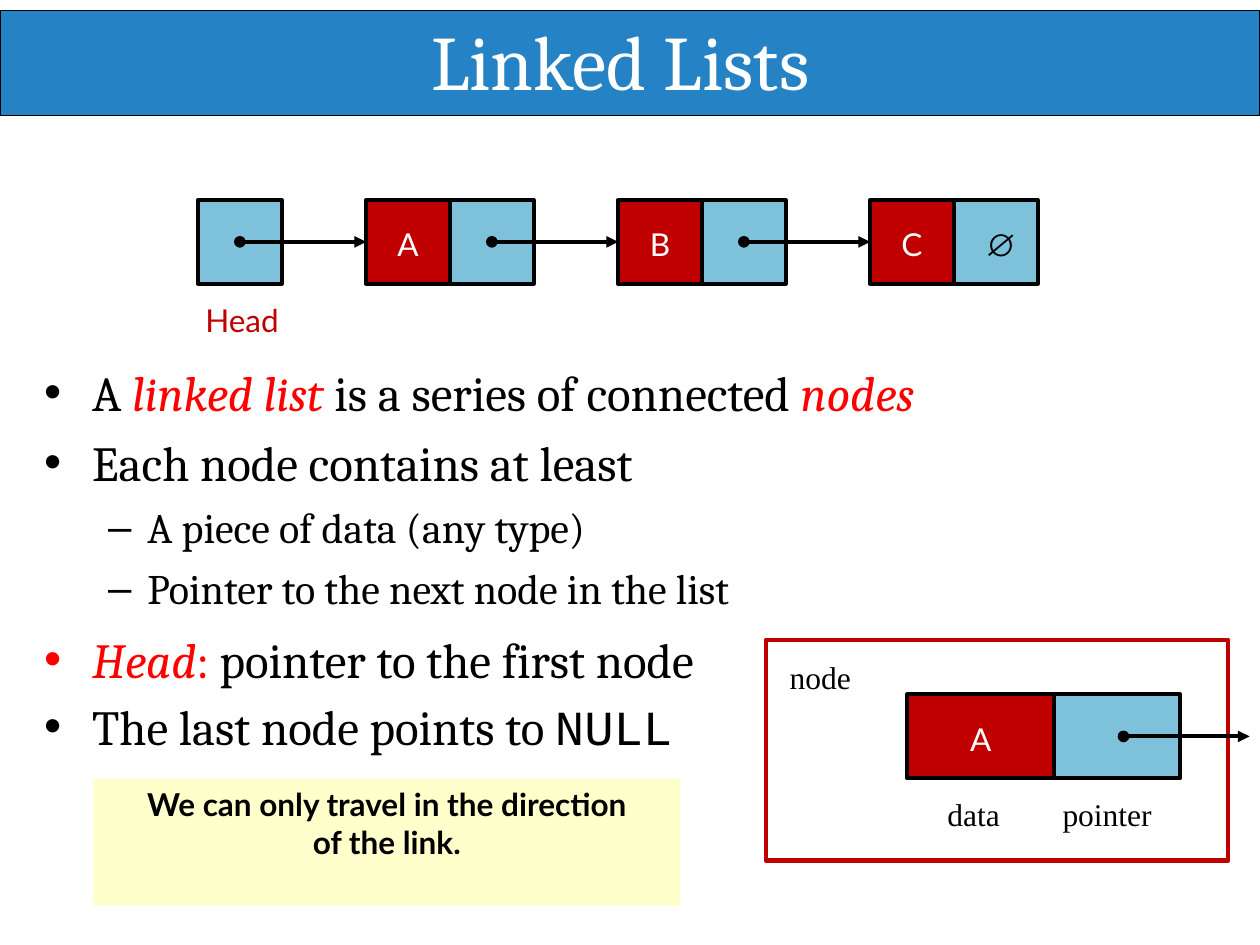
from lxml import etree
from pptx import Presentation
from pptx.dml.color import RGBColor
from pptx.enum.shapes import MSO_CONNECTOR as Connector, MSO_SHAPE as Shape
from pptx.enum.text import MSO_ANCHOR as Anchor, PP_ALIGN as Align
from pptx.oxml.ns import qn
from pptx.util import Cm, Pt

BLACK, WHITE, RED = "000000", "FFFFFF", "FF0000"
CRIMSON, SKY, BLUE, CREAM = "C00000", "7EC1DB", "2583C5", "FFFFCC"


def color(value):
    return RGBColor.from_string(value)


class SlideBuilder:
    serif, sans, roman, mono = "Cambria", "Lato", "Times New Roman", "Courier New"
    line_width = 2.25
    # Per level: bullet, text indent (cm), hanging indent (cm), size
    levels = (("•", 1.0, 0.97, 28), ("–", 2.11, 0.79, 24))

    def __init__(self, page):
        self.page = page

    def style(self, font, name, size, ink, bold=None):
        font.name, font.size, font.bold = name, Pt(size), bold
        font.color.rgb = color(ink)

    def frame(self, box, left=0, top=0):
        frame = box.text_frame
        frame.word_wrap = True
        frame.margin_left, frame.margin_top = Cm(left), Cm(top)
        frame.margin_right = frame.margin_bottom = 0
        return frame

    def rect(self, x, y, width, height, fill=None, line=None, weight=line_width):
        box = self.page.shapes.add_shape(
            Shape.RECTANGLE, Cm(x), Cm(y), Cm(width), Cm(height))
        box.shadow.inherit = False
        if fill:
            box.fill.solid()
            box.fill.fore_color.rgb = color(fill)
        else:
            box.fill.background()
        if line:
            box.line.color.rgb = color(line)
            box.line.width = Pt(weight)
        else:
            box.line.fill.background()
        return box

    def cell(self, x, y, width, fill, text="", font=sans, ink=WHITE, shift=0):
        box = self.rect(x, y, width, CELL, fill, BLACK)
        if text:
            frame = self.frame(box, left=shift, top=0.1)
            frame.vertical_anchor = Anchor.MIDDLE
            para = frame.paragraphs[0]
            para.text, para.alignment = text, Align.CENTER
            self.style(para.font, font, 18, ink)
        return box

    def label(self, x, y, width, text, font=roman, size=18, ink=BLACK):
        box = self.page.shapes.add_textbox(Cm(x), Cm(y), Cm(width), Cm(size / 20))
        para = self.frame(box).paragraphs[0]
        para.text = text
        self.style(para.font, font, size, ink)

    def pointer(self, x, y, length, target=None):
        arrow = self.page.shapes.add_connector(
            Connector.STRAIGHT, Cm(x), Cm(y), Cm(x + length), Cm(y))
        arrow.line.color.rgb = color(BLACK)
        arrow.line.width = Pt(self.line_width)
        if target is not None:
            arrow.end_connect(target, 1)
        line = arrow.line._get_or_add_ln()
        etree.SubElement(line, qn("a:headEnd"), type="oval")
        etree.SubElement(line, qn("a:tailEnd"), type="triangle")
        etree.SubElement(arrow._element.spPr, qn("a:effectLst"))

    def bullets(self, x, y, width, height, items):
        box = self.page.shapes.add_textbox(Cm(x), Cm(y), Cm(width), Cm(height))
        frame = self.frame(box)
        for index, (level, space, spans) in enumerate(items):
            para = frame.add_paragraph() if index else frame.paragraphs[0]
            mark, indent, hanging, size = self.levels[level]
            para.level = level
            props = para._p.get_or_add_pPr()
            props.set("marL", str(Cm(indent)))
            props.set("indent", str(-Cm(hanging)))
            if index:
                para.space_before = Pt(space)
            etree.SubElement(props, qn("a:buFont"), typeface="Arial")
            etree.SubElement(props, qn("a:buChar"), char=mark)
            for text, ink, italic, font in spans:
                span = para.add_run()
                span.text = text
                self.style(span.font, font, size, ink)
                span.font.italic = italic

    def note(self, x, y, width, height, lines):
        frame = self.frame(self.rect(x, y, width, height, CREAM), top=0.13)
        frame.vertical_anchor = Anchor.TOP
        for index, line in enumerate(lines):
            para = frame.add_paragraph() if index else frame.paragraphs[0]
            para.text, para.alignment = line, Align.CENTER
            self.style(para.font, self.sans, 18, BLACK, bold=True)


def plain(text, font=SlideBuilder.serif):
    return text, BLACK, False, font


def term(text, italic=True):
    return text, RED, italic, SlideBuilder.serif


CELL = 1.69
HEAD_X, CHAIN_Y = 3.99, 4.03
NODE_X, PITCH = 7.38, 5.08
ARROW = 2.54

deck = Presentation()
deck.slide_width, deck.slide_height = Cm(25.4), Cm(19.05)
slide = SlideBuilder(deck.slides.add_slide(deck.slide_layouts[6]))

# Title bar
slide.rect(0, 0.21, 25.4, 2.12, BLUE, BLACK, 0.75)
slide.label(8.69, 0.28, 9, "Linked Lists", slide.serif, 44, WHITE)

# Chain of nodes: the head pointer, then data and pointer cells
slide.cell(HEAD_X, CHAIN_Y, CELL, SKY)
pointer_x = [HEAD_X]
data_cells = []
for index, letter in enumerate("ABC"):
    x = NODE_X + index * PITCH
    data_cells.append(slide.cell(x, CHAIN_Y, CELL, CRIMSON, letter))
    if letter == "C":
        slide.cell(x + CELL, CHAIN_Y, CELL, SKY, "∅", "Arial", BLACK, shift=0.2)
    else:
        slide.cell(x + CELL, CHAIN_Y, CELL, SKY)
        pointer_x.append(x + CELL)
for x, target in zip(pointer_x, data_cells):
    slide.pointer(x + CELL / 2, CHAIN_Y + CELL / 2, ARROW, target)
slide.label(4.14, 6.07, 2, "Head", slide.sans, ink=CRIMSON)

# Definitions: level, space before, spans
slide.bullets(0.86, 7.3, 18.4, 7.9, [
    (0, 0, [plain("A "), term("linked list "),
            plain("is a series of connected "), term("nodes")]),
    (0, 6.7, [plain("Each node contains at least")]),
    (1, 6, [plain("A piece of data (any type)")]),
    (1, 5.8, [plain("Pointer to the next node in the list")]),
    (0, 9.2, [term("Head"), term(": ", italic=False),
              plain("pointer to the first node")]),
    (0, 4.8, [plain("The last node points to "), plain("NULL", slide.mono)]),
])

# Close-up of one node
slide.cell(18.29, 14, 2.96, CRIMSON, "A")
slide.cell(21.25, 14, 2.54, SKY)
slide.rect(15.44, 12.9, 9.32, 4.45, line=CRIMSON, weight=2.5)
slide.pointer(22.65, 14 + CELL / 2, ARROW)
for x, y, text in ((15.92, 13.26, "node"), (19.1, 16.03, "data"),
                   (21.42, 16.03, "pointer")):
    slide.label(x, y, 2.2, text)

# Remark
slide.note(1.88, 15.7, 11.84, 2.56,
           ["We can only travel in the direction", "of the link."])

deck.save("out.pptx")
